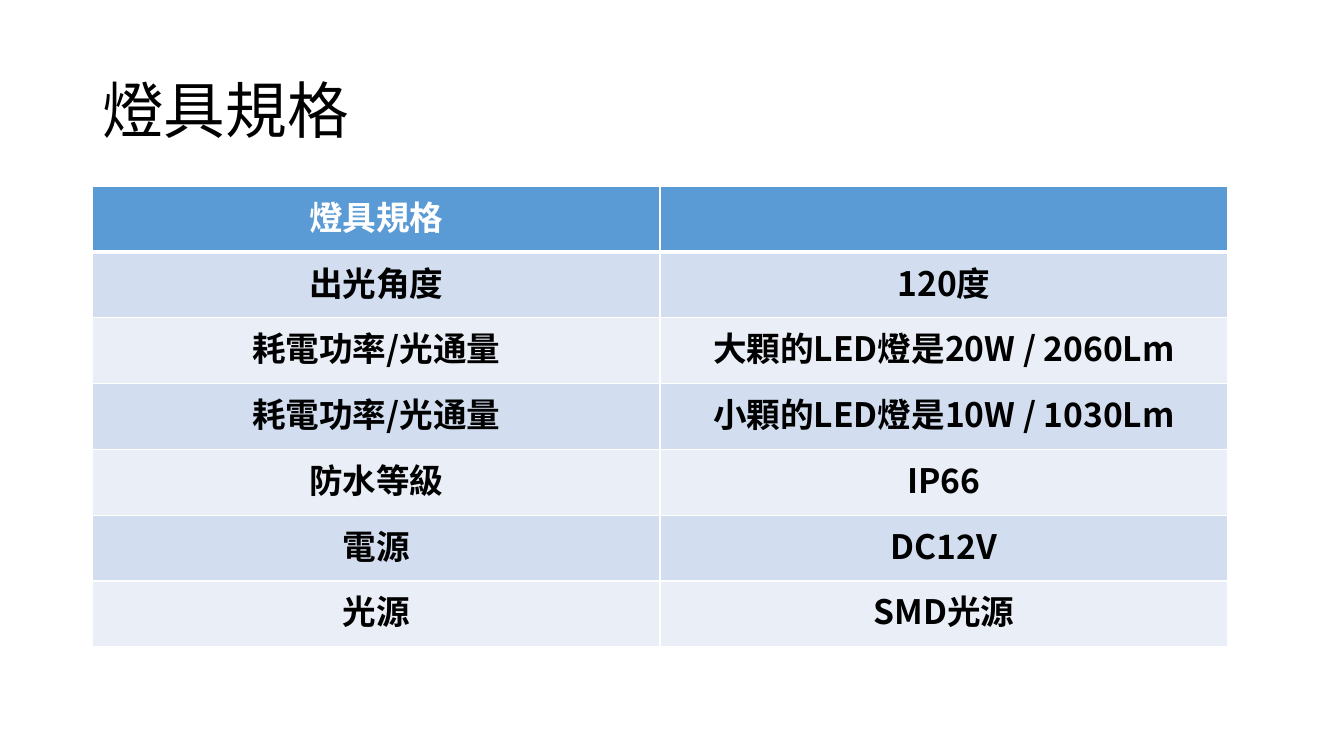
from typing import NamedTuple

from lxml.etree import SubElement
from pptx import Presentation
from pptx.dml.color import RGBColor
from pptx.enum.text import MSO_ANCHOR as Anchor, PP_ALIGN as Align
from pptx.oxml import parse_xml
from pptx.oxml.ns import nsdecls, qn
from pptx.util import Emu, Pt

FONT = "Noto Sans CJK SC"
BLACK = RGBColor(0x00, 0x00, 0x00)
WHITE = RGBColor(0xFF, 0xFF, 0xFF)
HEADER_BLUE = RGBColor(0x5B, 0x9B, 0xD5)
BAND_BLUE = RGBColor(0xD2, 0xDE, 0xEF)
BAND_PALE = RGBColor(0xEA, 0xEF, 0xF7)

LEFT = 132
ROW_HEIGHT = 94
COLUMN_WIDTH = 811


class Spec(NamedTuple):
    label: str
    value: str


SPECS = [
    Spec("燈具規格", ""),
    Spec("出光角度", "120度"),
    Spec("耗電功率/光通量", "大顆的LED燈是20W / 2060Lm"),
    Spec("耗電功率/光通量", "小顆的LED燈是10W / 1030Lm"),
    Spec("防水等級", "IP66"),
    Spec("電源", "DC12V"),
    Spec("光源", "SMD光源"),
]


def px(count: int) -> Emu:
    """Convert px to EMU, at 144 px to the inch."""
    return Emu(count * 6350)


def style_runs(para, size: int, color: RGBColor, bold: bool = False) -> None:
    for span in para.runs:
        span.font.name = FONT
        span.font.size = Pt(size)
        span.font.bold = bold
        span.font.color.rgb = color
        east_asian = SubElement(span.font._element, qn("a:ea"))
        east_asian.set("typeface", FONT)


def set_borders(cell, top: int, bottom: int) -> None:
    properties = cell._tc.get_or_add_tcPr()
    widths = {"lnL": 1, "lnR": 1, "lnT": top, "lnB": bottom}
    for index, (tag, width) in enumerate(widths.items()):
        properties.insert(index, parse_xml(
            f'<a:{tag} {nsdecls("a")} w="{Pt(width)}"><a:solidFill>'
            f'<a:srgbClr val="{WHITE}"/></a:solidFill></a:{tag}>'))


def add_title(slide, text: str) -> None:
    box = slide.shapes.add_textbox(px(LEFT), px(58), px(1656), px(209))
    frame = box.text_frame
    frame.word_wrap = True
    frame.vertical_anchor = Anchor.MIDDLE
    frame.text = text
    para = frame.paragraphs[0]
    para.line_spacing = 0.9
    style_runs(para, 44, BLACK)


def fill_cell(cell, text: str, row: int) -> None:
    is_header = row == 0
    cell.fill.solid()
    band = BAND_BLUE if row % 2 else BAND_PALE
    cell.fill.fore_color.rgb = HEADER_BLUE if is_header else band
    set_borders(cell, top=3 if row == 1 else 1, bottom=3 if is_header else 1)
    para = cell.text_frame.paragraphs[0]
    para.alignment = Align.CENTER
    if text:
        para.text = text
        style_runs(para, 24, WHITE if is_header else BLACK, bold=True)


def add_spec_table(slide, specs: list[Spec]) -> None:
    columns = len(Spec._fields)
    table = slide.shapes.add_table(
        len(specs), columns, px(LEFT), px(266),
        px(COLUMN_WIDTH * columns), px(ROW_HEIGHT * len(specs))).table
    for column in table.columns:
        column.width = px(COLUMN_WIDTH)
    for row, spec in enumerate(specs):
        table.rows[row].height = px(ROW_HEIGHT)
        for column, text in enumerate(spec):
            fill_cell(table.cell(row, column), text, row)


def main() -> None:
    deck = Presentation()
    deck.slide_width, deck.slide_height = px(1920), px(1080)
    page = deck.slides.add_slide(deck.slide_layouts[6])

    # Heading
    add_title(page, "燈具規格")

    # Lamp specifications
    add_spec_table(page, SPECS)

    deck.save("out.pptx")


if __name__ == "__main__":
    main()
